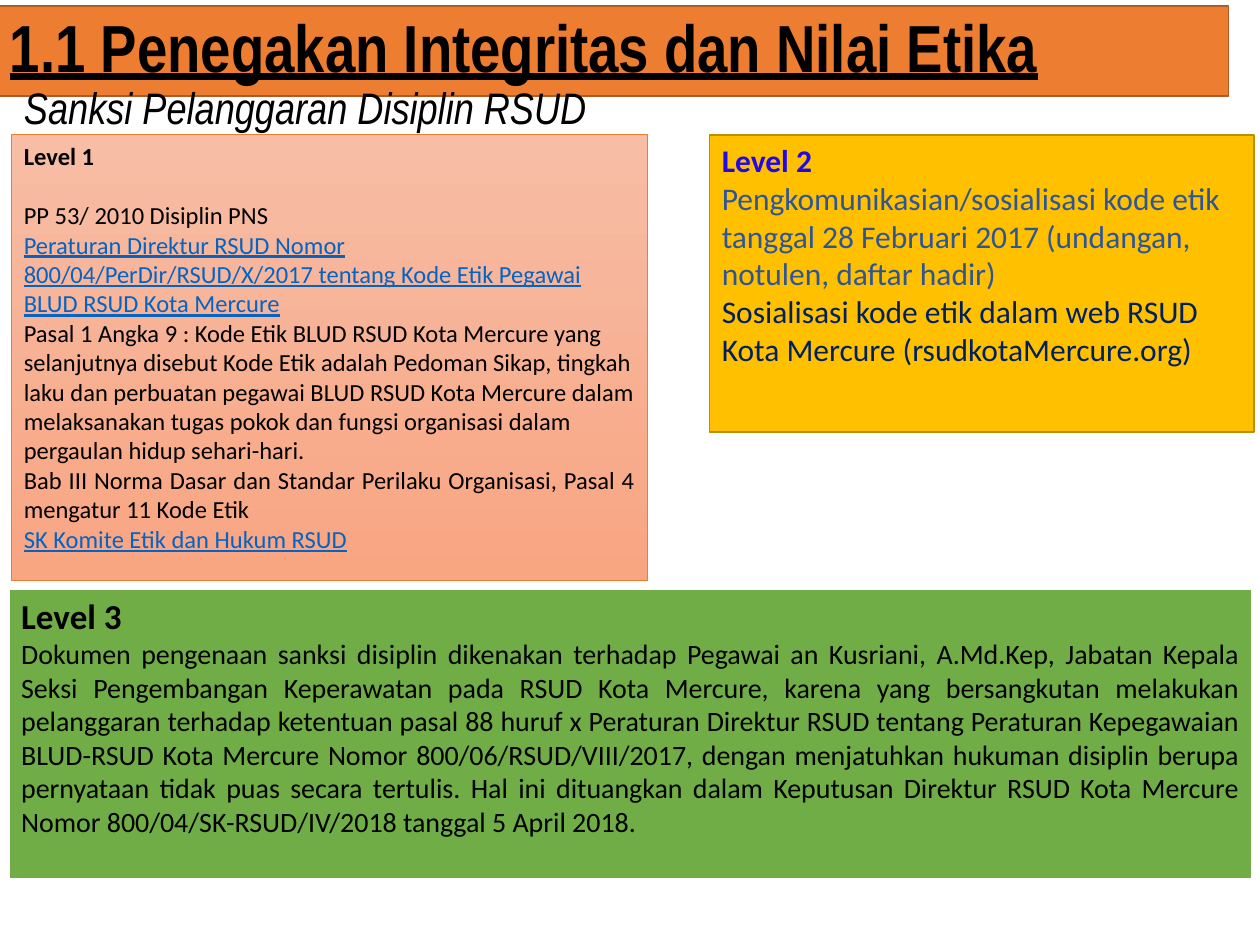
from pptx import Presentation, util as u
from pptx.dml.color import RGBColor
from pptx.enum import shapes, text

COLUMNS, ROWS = 1000, 750
SLIDE_WIDTH, SLIDE_HEIGHT = u.Inches(10), u.Inches(7.5)
BLACK, LINK, ORANGE = "000000", "0563C1", "ED7D31"

LEVEL_1 = [
    ("Level 1", dict(bold=True, space_after=17)),
    ("PP 53/ 2010 Disiplin PNS", {}),
    ("Peraturan Direktur RSUD Nomor 800/04/PerDir/RSUD/X/2017 tentang Kode Etik Pegawai "
     "BLUD RSUD Kota Mercure", dict(color=LINK, underline=True)),
    ("Pasal 1 Angka 9 : Kode Etik BLUD RSUD Kota Mercure yang selanjutnya disebut Kode Etik "
     "adalah Pedoman Sikap, tingkah laku dan perbuatan pegawai BLUD RSUD Kota Mercure dalam "
     "melaksanakan tugas pokok dan fungsi organisasi dalam pergaulan hidup sehari-hari.", {}),
    ("Bab III Norma Dasar dan Standar Perilaku Organisasi, Pasal 4 mengatur 11 Kode Etik",
     dict(justify=True)),
    ("SK Komite Etik dan Hukum RSUD", dict(color=LINK, underline=True)),
]
LEVEL_2 = [
    ("Level 2", dict(bold=True, color="2207E9")),
    ("Pengkomunikasian/sosialisasi kode etik tanggal 28 Februari 2017 "
     "(undangan, notulen, daftar hadir)", dict(color="2F5597")),
    ("Sosialisasi kode etik dalam web RSUD Kota Mercure (rsudkotaMercure.org)",
     dict(color="002060")),
]
LEVEL_3 = [
    ("Level 3", dict(bold=True, size=20)),
    ("Dokumen pengenaan sanksi disiplin dikenakan terhadap Pegawai an Kusriani, A.Md.Kep, "
     "Jabatan Kepala Seksi Pengembangan Keperawatan pada RSUD Kota Mercure, karena yang "
     "bersangkutan melakukan pelanggaran terhadap ketentuan pasal 88 huruf x Peraturan "
     "Direktur RSUD tentang Peraturan Kepegawaian BLUD-RSUD Kota Mercure Nomor "
     "800/06/RSUD/VIII/2017, dengan menjatuhkan hukuman disiplin berupa pernyataan tidak puas "
     "secara tertulis. Hal ini dituangkan dalam Keputusan Direktur RSUD Kota Mercure Nomor "
     "800/04/SK-RSUD/IV/2018 tanggal 5 April 2018.", dict(justify=True)),
]


def rgb(color):
    return RGBColor.from_string(color)


def cells(column, row, columns, rows):
    across, down = SLIDE_WIDTH / COLUMNS, SLIDE_HEIGHT / ROWS
    return [int(n) for n in (column * across, row * down, columns * across, rows * down)]


def write(paragraph, words, size=14, font="Calibri", color=BLACK, bold=False, italic=False,
          underline=False, justify=False, spacing=1.0, space_after=0):
    paragraph.alignment = text.PP_ALIGN.JUSTIFY if justify else text.PP_ALIGN.LEFT
    paragraph.line_spacing = spacing
    paragraph.space_before = u.Pt(0)
    paragraph.space_after = u.Pt(space_after)
    run = paragraph.add_run()
    run.text = words
    run.font.name, run.font.size = font, u.Pt(size)
    run.font.bold, run.font.italic, run.font.underline = bold, italic, underline
    run.font.color.rgb = rgb(color)


def fill_frame(shape, paragraphs, anchor, **defaults):
    frame = shape.text_frame
    frame.word_wrap = True
    frame.auto_size = text.MSO_AUTO_SIZE.NONE
    frame.vertical_anchor = anchor
    for index, (words, style) in enumerate(paragraphs):
        paragraph = frame.add_paragraph() if index else frame.paragraphs[0]
        write(paragraph, words, **{**defaults, **style})


def add_panel(slide, place, fill, line, line_width, paragraphs,
              anchor=text.MSO_ANCHOR.TOP, **defaults):
    panel = slide.shapes.add_shape(shapes.MSO_SHAPE.RECTANGLE, *cells(*place))
    panel.shadow.inherit = False
    if isinstance(fill, str):
        panel.fill.solid()
        panel.fill.fore_color.rgb = rgb(fill)
    else:
        panel.fill.gradient()
        panel.fill.gradient_angle = 270
        for stop, color, position in zip(panel.fill.gradient_stops, fill, (0, 1)):
            stop.color.rgb, stop.position = rgb(color), position
    panel.line.color.rgb = rgb(line)
    panel.line.width = u.Pt(line_width)
    fill_frame(panel, paragraphs, anchor, **defaults)


def set_title(slide, place, words, **style):
    title = slide.shapes.title
    title.left, title.top, title.width, title.height = cells(*place)
    fill_frame(title, [(words, style)], text.MSO_ANCHOR.MIDDLE)
    title.element.getparent().append(title.element)


def main():
    presentation = Presentation()
    presentation.slide_width, presentation.slide_height = SLIDE_WIDTH, SLIDE_HEIGHT
    slide = presentation.slides.add_slide(presentation.slide_layouts[5])
    heading = dict(font="Arial Narrow", spacing=0.9)
    add_panel(slide, (-2, 5, 977, 71), ORANGE, "AF5C24", 1,
              [("1.1 Penegakan Integritas dan Nilai Etika", heading)],
              anchor=text.MSO_ANCHOR.MIDDLE, size=38, bold=True, underline=True)
    add_panel(slide, (9, 107, 505, 354), ("F7BDA5", "F8A582"), ORANGE, 0.5, LEVEL_1)
    add_panel(slide, (563, 107, 432, 236), "FFC000", "BD8E00", 1, LEVEL_2, size=18)
    add_panel(slide, (7, 467, 987, 231), "70AD47", "FFFFFF", 1.5, LEVEL_3, size=16)
    set_title(slide, (9, 68, 537, 39), "Sanksi Pelanggaran Disiplin RSUD",
              size=25.2, italic=True, **heading)
    presentation.save("out.pptx")


if __name__ == "__main__":
    main()
